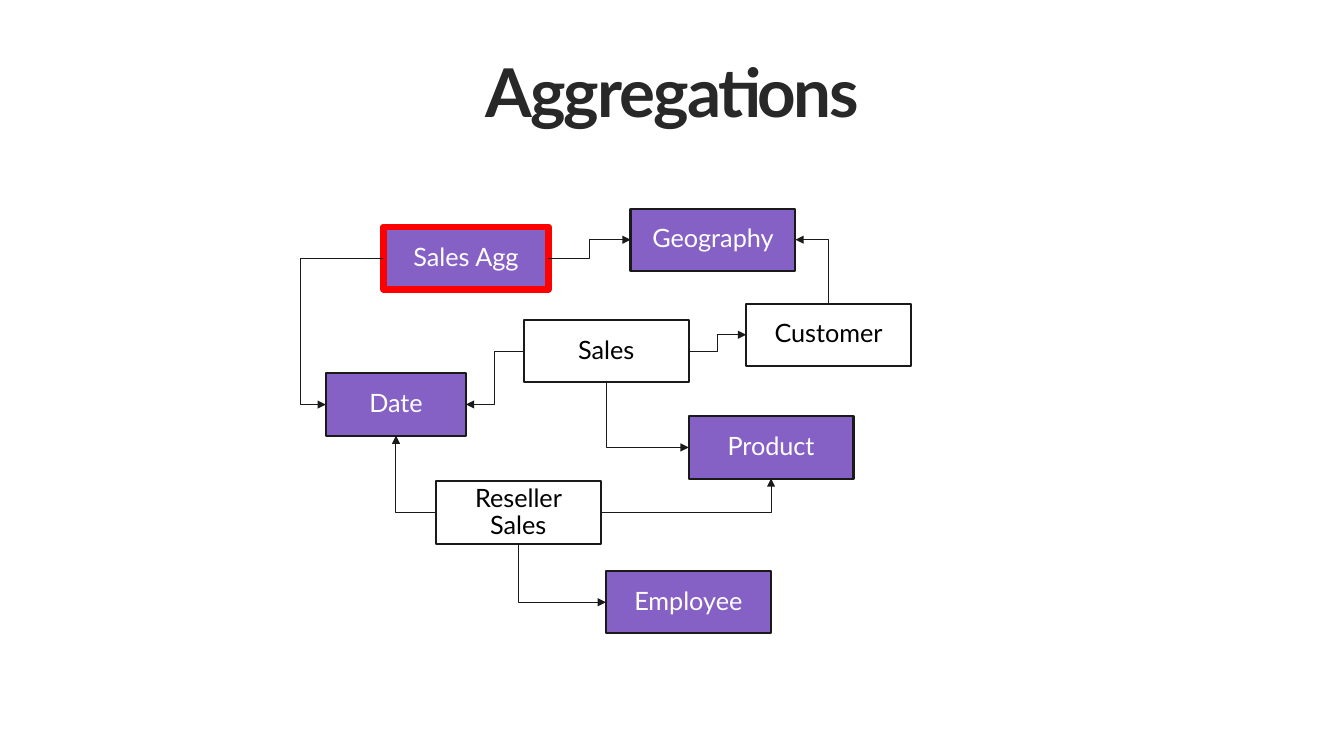
from dataclasses import dataclass
from enum import IntEnum

from pptx import Presentation
from pptx.dml.color import RGBColor
from pptx.enum.shapes import MSO_CONNECTOR as Connector, MSO_SHAPE as Preset
from pptx.enum.text import MSO_ANCHOR as Anchor, MSO_AUTO_SIZE as AutoSize, PP_ALIGN as Align
from pptx.oxml.ns import qn
from pptx.oxml.xmlchemy import OxmlElement
from pptx.shapes.autoshape import Shape
from pptx.slide import Slide
from pptx.text.text import TextFrame
from pptx.util import Pt

FONT = "Lato"
INK = "1A1A1A"
PURPLE = "8661C5"
WHITE = "FFFFFF"
BLACK = "000000"
RED = "FF0000"
BOX_WIDTH = 120.2
BOX_HEIGHT = 45.4


class Side(IntEnum):
    TOP = 0
    LEFT = 1
    BOTTOM = 2
    RIGHT = 3


@dataclass(frozen=True)
class Table:
    name: str
    left: float
    top: float
    fill: str = PURPLE
    text: str = WHITE
    width: float = BOX_WIDTH
    border: str = INK
    border_width: float = 1.5


@dataclass(frozen=True)
class Relation:
    source: str
    source_side: Side
    target: str
    target_side: Side
    bend: float = 0.5


TABLES = [
    Table("Sales", 381.6, 233.3, WHITE, BLACK),
    Table("Sales Agg", 279.4, 165.4, border=RED, border_width=5),
    Table("Date", 237.4, 272, width=102.2),
    Table("Employee", 441.4, 416.1),
    Table("Reseller Sales", 317.5, 350.7, WHITE, BLACK),
    Table("Customer", 543.6, 221.2, WHITE, BLACK),
    Table("Geography", 459.4, 152, PURPLE),
    Table("Product", 501.7, 303.3),
]

RELATIONS = [
    Relation("Sales", Side.LEFT, "Date", Side.RIGHT),
    Relation("Sales", Side.RIGHT, "Customer", Side.LEFT),
    Relation("Sales", Side.BOTTOM, "Product", Side.LEFT),
    Relation("Sales Agg", Side.LEFT, "Date", Side.LEFT, bend=1.43),
    Relation("Sales Agg", Side.RIGHT, "Geography", Side.LEFT),
    Relation("Reseller Sales", Side.BOTTOM, "Employee", Side.LEFT),
    Relation("Customer", Side.TOP, "Geography", Side.RIGHT),
    Relation("Reseller Sales", Side.LEFT, "Date", Side.BOTTOM),
    Relation("Reseller Sales", Side.RIGHT, "Product", Side.BOTTOM),
]


def color(code: str) -> RGBColor:
    return RGBColor.from_string(code)


def set_margins(frame: TextFrame, across: float, down: float) -> None:
    frame.margin_left = frame.margin_right = Pt(across)
    frame.margin_top = frame.margin_bottom = Pt(down)


def add_title(page: Slide, text: str) -> None:
    title = page.shapes.title
    title.left, title.top, title.width, title.height = Pt(47.5), Pt(36.7), Pt(884.9), Pt(44.6)
    frame = title.text_frame
    frame.text = text
    frame.word_wrap = True
    frame.auto_size = AutoSize.NONE
    frame.vertical_anchor = Anchor.TOP
    set_margins(frame, 0, 0)
    para = frame.paragraphs[0]
    para.alignment = Align.CENTER
    span = para.runs[0]
    span.font.name, span.font.size, span.font.bold = FONT, Pt(49), True
    span.font.color.rgb = color("282828")
    span.font._element.set("spc", "-140")


def add_box(page: Slide, table: Table) -> Shape:
    box = page.shapes.add_shape(
        Preset.RECTANGLE, Pt(table.left), Pt(table.top), Pt(table.width), Pt(BOX_HEIGHT)
    )
    box.shadow.inherit = False
    box.fill.solid()
    box.fill.fore_color.rgb = color(table.fill)
    box.line.color.rgb = color(table.border)
    box.line.width = Pt(table.border_width)
    frame = box.text_frame
    frame.text = table.name
    frame.word_wrap = True
    frame.vertical_anchor = Anchor.MIDDLE
    set_margins(frame, 14.4, 11.5)
    para = frame.paragraphs[0]
    para.alignment = Align.CENTER
    para.line_spacing = 0.9
    span = para.runs[0]
    span.font.name, span.font.size = FONT, Pt(18.4)
    span.font.color.rgb = color(table.text)
    return box


def add_relation(page: Slide, relation: Relation, boxes: dict[str, Shape]) -> None:
    link = page.shapes.add_connector(Connector.ELBOW, Pt(0), Pt(0), Pt(0), Pt(0))
    link.begin_connect(boxes[relation.source], relation.source_side)
    link.end_connect(boxes[relation.target], relation.target_side)
    link.line.color.rgb = color(INK)
    link.line.width = Pt(0.75)
    properties = link._element.spPr
    geometry = properties.find(qn("a:prstGeom"))

    sideways = (Side.LEFT, Side.RIGHT)
    if relation.source_side not in sideways or relation.target_side not in sideways:
        geometry.set("prst", "bentConnector2")
    elif relation.bend != 0.5:
        guide = OxmlElement("a:gd")
        guide.set("name", "adj1")
        guide.set("fmla", f"val {round(relation.bend * 100000)}")
        geometry.get_or_add_avLst().append(guide)

    if relation.source_side not in sideways:
        across, down = link.end_x - link.begin_x, link.end_y - link.begin_y
        middle_x = (link.begin_x + link.end_x) // 2
        middle_y = (link.begin_y + link.end_y) // 2
        link.begin_x, link.end_x = middle_x + down // 2, middle_x - down // 2
        link.begin_y, link.end_y = middle_y - across // 2, middle_y + across // 2
        properties.find(qn("a:xfrm")).set("rot", str(270 * 60000))

    arrow = OxmlElement("a:tailEnd")
    arrow.set("type", "triangle")
    properties.find(qn("a:ln")).append(arrow)
    properties.append(OxmlElement("a:effectLst"))


def main() -> None:
    deck = Presentation()
    deck.slide_width, deck.slide_height = Pt(979.2), Pt(550.8)
    page = deck.slides.add_slide(deck.slide_layouts.get_by_name("Title Only"))
    add_title(page, "Aggregations")
    boxes = {table.name: add_box(page, table) for table in TABLES}
    for relation in RELATIONS:
        add_relation(page, relation, boxes)
    deck.save("out.pptx")


if __name__ == "__main__":
    main()
